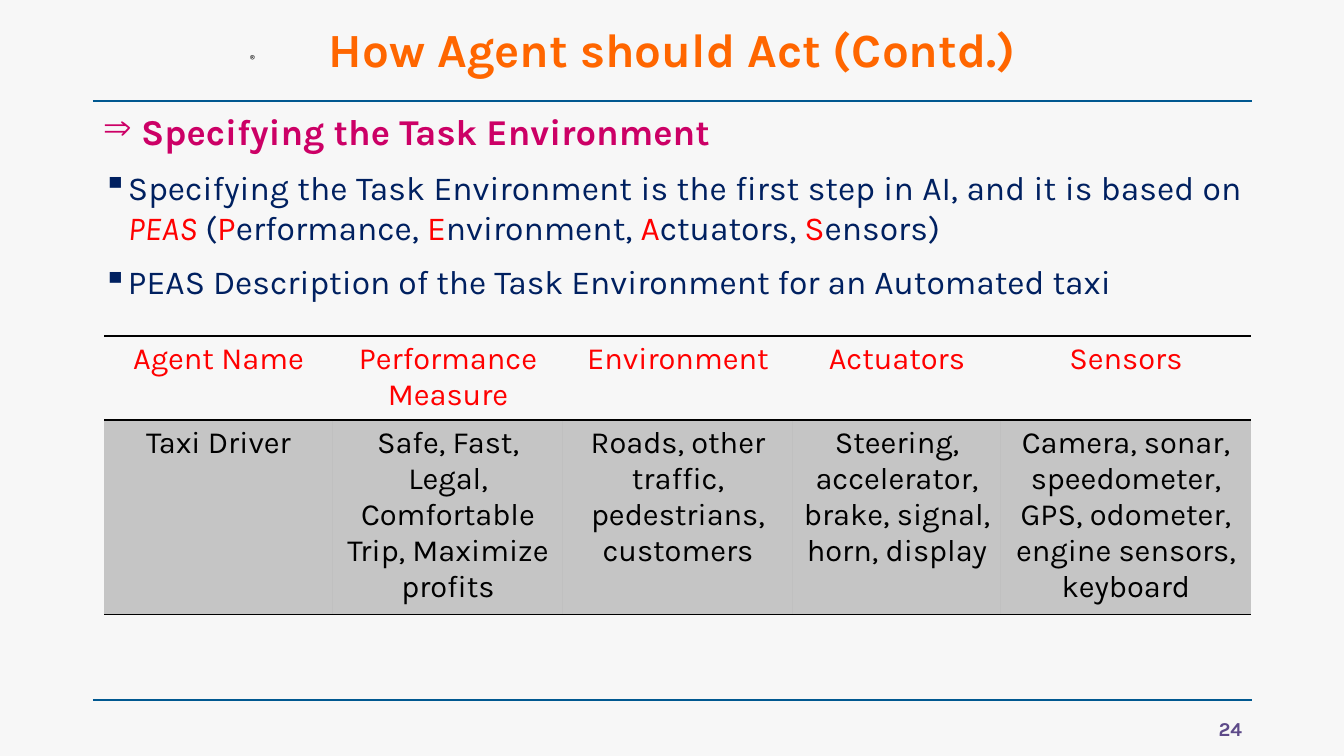
from lxml import etree
from pptx import Presentation
from pptx.dml.color import RGBColor
from pptx.enum.shapes import MSO_CONNECTOR
from pptx.enum.text import MSO_ANCHOR, PP_ALIGN
from pptx.oxml.ns import qn
from pptx.util import Pt

SCALE = 914400 / 100.8
STRAIGHT = MSO_CONNECTOR.STRAIGHT
MIDDLE, TOP = MSO_ANCHOR.MIDDLE, MSO_ANCHOR.TOP
LEFT, CENTER = PP_ALIGN.LEFT, PP_ALIGN.CENTER
RIGHT, JUSTIFY = PP_ALIGN.RIGHT, PP_ALIGN.JUSTIFY
PAPER = RGBColor(0xF7, 0xF7, 0xF7)
BLUE = RGBColor(0x00, 0x58, 0x90)
ORANGE = RGBColor(0xFF, 0x66, 0x00)
PINK = RGBColor(0xCC, 0x00, 0x66)
NAVY = RGBColor(0x00, 0x20, 0x60)
RED = RGBColor(0xFF, 0x00, 0x00)
PURPLE = RGBColor(0x5D, 0x4A, 0x89)
BLACK = RGBColor(0, 0, 0)
PLAIN_STYLE = "{2D5ABB26-0587-4C30-8999-92F81FD0307C}"


def px(n):
    return round(n * SCALE)


def style(para, size, color, align, bold=False, font="Karla"):
    para.alignment = align
    para.font.name = font
    para.font.size = Pt(size)
    para.font.bold = bold
    para.font.color.rgb = color


deck = Presentation()
deck.slide_width, deck.slide_height = px(1344), px(756)
slide = deck.slides.add_slide(deck.slide_layouts[6])
slide.background.fill.solid()
slide.background.fill.fore_color.rgb = PAPER
shapes = slide.shapes

# Rules under the title and above the page number
for y in (101, 700):
    rule = shapes.add_connector(STRAIGHT, px(93), px(y), px(1252), px(y))
    rule.line.color.rgb = BLUE
    rule.line.width = Pt(1.5)
    etree.SubElement(rule._element.spPr, qn("a:effectLst"))

# Single-line texts: text, box, size, colour, alignment, bold, font, anchor, wrap
labels = [
    ("®", (240, 43, 30, 40), 18, BLACK, LEFT, False, "Calibri", TOP, False),
    ("How Agent should Act (Contd.)", (93, 11, 1159, 83), 34, ORANGE, CENTER,
     True, "Karla", MIDDLE, True),
    ("24", (1157, 707, 95, 43), 14, PURPLE, RIGHT, True, "Karla", MIDDLE, True),
]
for text, box, size, color, align, bold, font, anchor, wrap in labels:
    frame = shapes.add_textbox(*map(px, box)).text_frame
    frame.word_wrap = wrap
    frame.vertical_anchor = anchor
    para = frame.paragraphs[0]
    para.text = text
    style(para, size, color, align, bold, font)
    if text == "®":
        para.runs[0].font._element.set("baseline", "30000")
    elif size == 34:
        para.line_spacing = 0.9

# Body: bullet, size, colour, bold, text pieces; "*" starts a red piece
peas = ["Specifying the Task Environment is the first step in AI, and it is based on ",
        "*PEAS", " (", "*P", "erformance, ", "*E", "nvironment, ",
        "*A", "ctuators, ", "*S", "ensors)"]
points = [
    ("⇒", 26, PINK, True, [" Specifying the Task Environment"]),
    ("▪", 24, NAVY, False, peas),
    ("▪", 24, NAVY, False,
     ["PEAS Description of the Task Environment for an Automated taxi"]),
]
body = shapes.add_textbox(px(93), px(104), px(1159), px(585)).text_frame
body.word_wrap = True
for i, (mark, size, color, bold, parts) in enumerate(points):
    para = body.add_paragraph() if i else body.paragraphs[0]
    props = para._p.get_or_add_pPr()
    props.set("marL", str(px(25)))
    props.set("indent", str(-px(25)))
    etree.SubElement(props, qn("a:buChar"), char=mark)
    para.space_before = Pt(10)
    style(para, size, color, JUSTIFY, bold)
    for part in parts:
        run = para.add_run()
        run.text = part.lstrip("*")
        if part.startswith("*"):
            run.font.color.rgb = RED
        if part == "*PEAS":
            run.font.italic = True

# PEAS table
rows = [
    ["Agent Name", "Performance Measure", "Environment", "Actuators", "Sensors"],
    ["Taxi Driver", "Safe, Fast, Legal, Comfortable Trip, Maximize profits",
     "Roads, other traffic, pedestrians, customers",
     "Steering, accelerator, brake, signal, horn, display",
     "Camera, sonar, speedometer, GPS, odometer, engine sensors, keyboard"],
]
widths = [229, 230, 230, 208, 250]
heights = [82, 190]
table = shapes.add_table(len(rows), len(widths), px(104), px(336),
                         px(sum(widths)), px(sum(heights))).table
table.first_row = table.horz_banding = False
table._tbl.tblPr.find(qn("a:tableStyleId")).text = PLAIN_STYLE
for col, width in zip(table.columns, widths):
    col.width = px(width)
for r, texts in enumerate(rows):
    table.rows[r].height = px(heights[r])
    for c, text in enumerate(texts):
        cell = table.cell(r, c)
        para = cell.text_frame.paragraphs[0]
        para.text = text
        style(para, 22, BLACK if r else RED, CENTER)
        props = cell._tc.get_or_add_tcPr()
        for side in ("a:lnT", "a:lnB"):
            edge = etree.SubElement(props, qn(side), w=str(Pt(1)))
            ink = etree.SubElement(edge, qn("a:solidFill"))
            etree.SubElement(ink, qn("a:srgbClr"), val=str(BLACK))
        if r:
            cell.fill.solid()
            cell.fill.fore_color.rgb = BLACK
            tint = props.find(qn("a:solidFill")).find(qn("a:srgbClr"))
            etree.SubElement(tint, qn("a:alpha"), val="20000")
        else:
            cell.fill.background()

deck.save("out.pptx")
